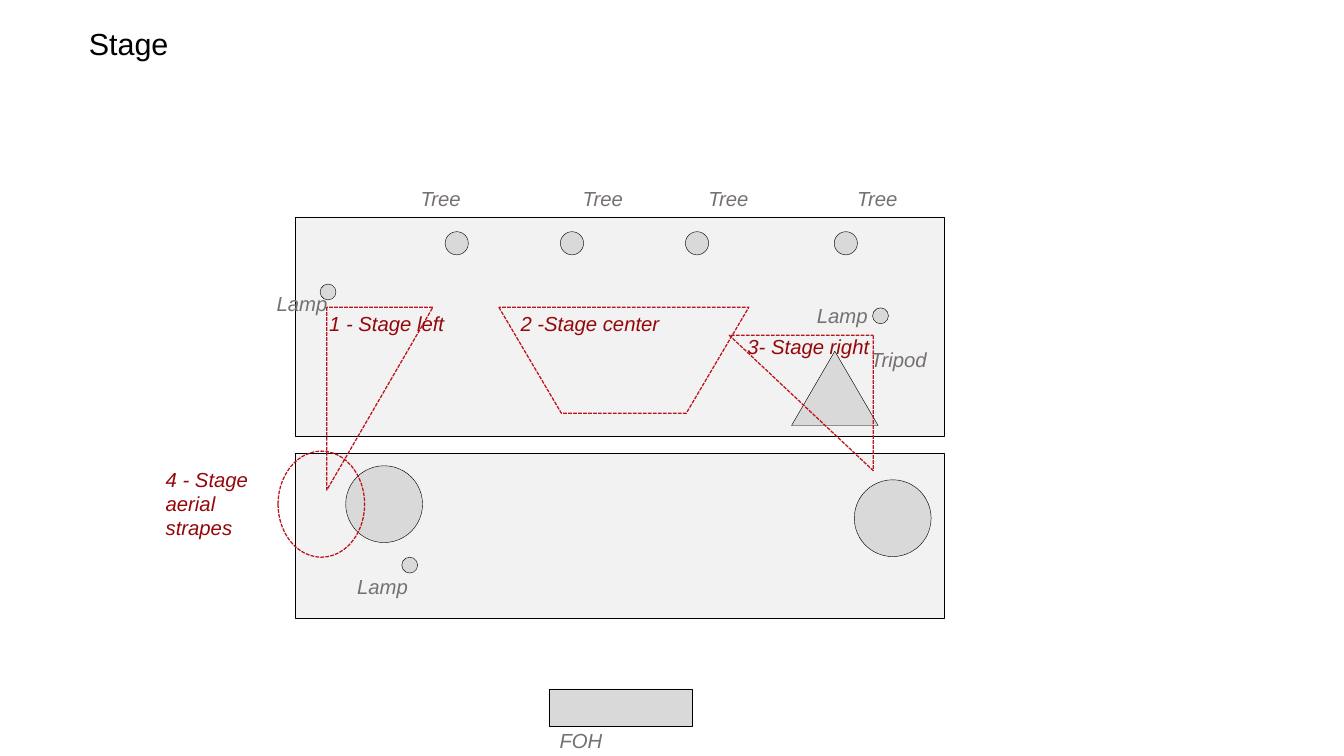
from pptx import Presentation
from pptx.dml.color import RGBColor
from pptx.enum.dml import MSO_LINE
from pptx.enum.shapes import MSO_SHAPE
from pptx.enum.text import MSO_AUTO_SIZE
from pptx.util import Inches, Pt

BLACK = RGBColor(0x00, 0x00, 0x00)
FLOOR = RGBColor(0xF2, 0xF2, 0xF2)
PROP = RGBColor(0xD9, 0xD9, 0xD9)
GREY = RGBColor(0x76, 0x71, 0x71)
ZONE_LINE = RGBColor(0xBA, 0x13, 0x1A)
ZONE_TEXT = RGBColor(0x94, 0x07, 0x0A)

COLUMNS, ROWS = 110.2, 62
CELL = Inches(0.1)
LABEL_HEIGHT = 3

TITLE = ("Stage", 6.3, 1.6, 28.5, 3.9)

FLOORS = [(24.2, 17.8, 53.2, 18), (24.2, 37.2, 53.2, 13.5)]

TREE_ROW, TREE_SIZE = 19.95, 1.9
TREE_COLUMNS = [37.45, 46.9, 57.15, 69.35]
LAMP_SIZE = 1.3
LAMPS = [(26.9, 23.95), (72.2, 25.9), (33.6, 46.35)]
PODIUM_SIZE = 6.3
PODIUMS = [(31.5, 41.35), (73.2, 42.5)]
TRIPOD = (64.9, 28.8, 7.1, 6.1)
FOH_DESK = (45, 56.5, 11.8, 3.1)

PROP_LABELS = [
    ("Tree", 33.5, 14.8, 6.4),
    ("Tree", 46.8, 14.8, 6.4),
    ("Tree", 57.1, 14.8, 6.4),
    ("Tree", 69.3, 14.8, 6.4),
    ("Tripod", 70.4, 28, 9.5),
    ("FOH", 44.9, 59.2, 6.4),
    ("Lamp", 21.7, 23.4, 6.4),
    ("Lamp", 66, 24.4, 6.4),
    ("Lamp", 28.3, 46.6, 6.4),
]

ZONES = [
    (MSO_SHAPE.TRAPEZOID, (40.9, 25.2, 20.5, 8.7), ["flipV"]),
    (MSO_SHAPE.RIGHT_TRIANGLE, (26.8, 25.2, 8.7, 15), ["flipV"]),
    (MSO_SHAPE.RIGHT_TRIANGLE, (59.8, 27.5, 11.8, 11.1), ["flipH", "flipV"]),
    (MSO_SHAPE.OVAL, (22.8, 37, 7.1, 8.7), []),
]
TRAPEZOID_INSET = 0.59

ZONE_LABELS = [
    ("4 - Stage aerial strapes", 12.6, 37.8, 11.8, 7),
    ("1 - Stage left", 26, 25, 11.8, 3),
    ("2 -Stage center", 41.7, 25, 15.7, 5),
    ("3- Stage right", 60.3, 26.9, 20.9, 5),
]


def cells(*lengths):
    return [round(length * CELL) for length in lengths]


def add_text(text, left, top, width, height, size=12, color=BLACK,
             italic=False, wrap=False):
    label = slide.shapes.add_textbox(*cells(left, top, width, height))
    frame = label.text_frame
    frame.word_wrap = wrap
    frame.auto_size = MSO_AUTO_SIZE.SHAPE_TO_FIT_TEXT
    run = frame.paragraphs[0].add_run()
    run.text = text
    run.font.name = "Arial"
    run.font.size = Pt(size)
    run.font.italic = italic
    run.font.color.rgb = color


def add_part(kind, place, fill=None):
    part = slide.shapes.add_shape(kind, *cells(*place))
    part.shadow.inherit = False
    if fill is None:
        part.fill.background()
        part.line.color.rgb = ZONE_LINE
        part.line.width = Pt(0)
        part.line.dash_style = MSO_LINE.SQUARE_DOT
    else:
        part.fill.solid()
        part.fill.fore_color.rgb = fill
        part.line.color.rgb = BLACK
        part.line.width = Pt(0.25)
    return part


def add_disc(center_x, center_y, size):
    place = (center_x - size / 2, center_y - size / 2, size, size)
    add_part(MSO_SHAPE.OVAL, place, PROP)


deck = Presentation()
deck.slide_width, deck.slide_height = cells(COLUMNS, ROWS)
slide = deck.slides.add_slide(deck.slide_layouts[6])

add_text(*TITLE, size=18)

for floor in FLOORS:
    add_part(MSO_SHAPE.RECTANGLE, floor, FLOOR)

discs = [(column, TREE_ROW, TREE_SIZE) for column in TREE_COLUMNS]
discs += [(*center, PODIUM_SIZE) for center in PODIUMS]
discs += [(*center, LAMP_SIZE) for center in LAMPS]
for disc in discs:
    add_disc(*disc)
add_part(MSO_SHAPE.ISOSCELES_TRIANGLE, TRIPOD, PROP)
add_part(MSO_SHAPE.RECTANGLE, FOH_DESK, PROP)

for label in PROP_LABELS:
    add_text(*label, LABEL_HEIGHT, color=GREY, italic=True)

for kind, place, flips in ZONES:
    zone = add_part(kind, place)
    if kind == MSO_SHAPE.TRAPEZOID:
        zone.adjustments[0] = TRAPEZOID_INSET
    for flip in flips:
        zone.element.spPr.xfrm.set(flip, "1")

for label in ZONE_LABELS:
    add_text(*label, color=ZONE_TEXT, italic=True, wrap=True)

deck.save("out.pptx")
